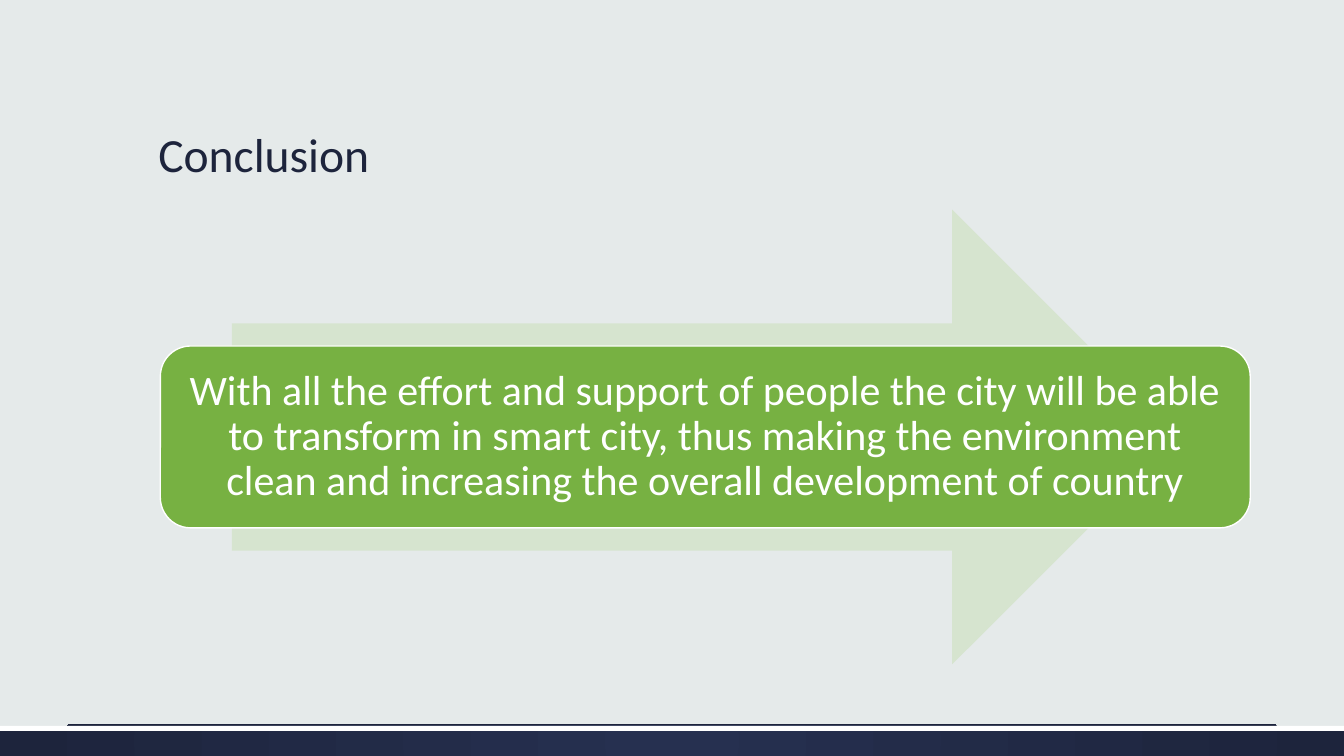
from lxml import etree
from pptx import Presentation, util as u
from pptx.dml.color import RGBColor
from pptx.enum import shapes, text
from pptx.oxml import ns

COLORS = {
    "page": "E5EAEA", "navy": "1D243C", "glow": "263050",
    "pale": "D6E4CF", "green": "77B142", "white": "FFFFFF",
}
KIND = shapes.MSO_SHAPE


def color(name):
    return RGBColor.from_string(COLORS[name])


def place(shape, box):
    shape.left, shape.top, shape.width, shape.height = map(u.Inches, box)


def write(shape, words, size, hue, align, anchor, inset=(0.1, 0.05)):
    frame = shape.text_frame
    frame.word_wrap = True
    frame.auto_size = text.MSO_AUTO_SIZE.NONE
    frame.vertical_anchor = anchor
    frame.margin_left = frame.margin_right = u.Inches(inset[0])
    frame.margin_top = frame.margin_bottom = u.Inches(inset[1])
    para = frame.paragraphs[0]
    para.alignment, para.line_spacing = align, 0.9
    run = para.add_run()
    run.text = words
    run.font.name, run.font.size = "Calibri", u.Pt(size)
    run.font.color.rgb = color(hue)


def draw(slide, kind, box, fill, line=None):
    shape = slide.shapes.add_shape(kind, *map(u.Inches, box))
    shape.shadow.inherit = False
    shape.fill.solid()
    shape.fill.fore_color.rgb = color(fill)
    if line:
        shape.line.color.rgb, shape.line.width = color(line), u.Pt(1)
    else:
        shape.line.fill.background()
    return shape


def glow(shape, inner, outer):
    """Fill the shape with a gradient that spreads from its centre."""
    shape.fill.gradient()
    for stop, name in zip(shape.fill.gradient_stops, (inner, outer)):
        stop.color.rgb = color(name)
    grad = shape.fill._xPr.find(ns.qn("a:gradFill"))
    grad.remove(grad.find(ns.qn("a:lin")))
    path = etree.SubElement(grad, ns.qn("a:path"), path="circle")
    sides = dict.fromkeys("ltrb", "50000")
    etree.SubElement(path, ns.qn("a:fillToRect"), **sides)


def footer(slide, box):
    left, top, width, height = box
    band = draw(slide, KIND.RECTANGLE, box, "navy")
    glow(band, "glow", "navy")
    draw(slide, KIND.RECTANGLE, (left, top, width, 0.05), "white")
    edge, level = 0.67, u.Inches(top - 0.01)
    rule = slide.shapes.add_connector(
        shapes.MSO_CONNECTOR.STRAIGHT, u.Inches(left + edge), level,
        u.Inches(left + width - edge), level)
    rule.line.color.rgb, rule.line.width = color("navy"), u.Pt(0.75)
    etree.SubElement(rule._element.spPr, ns.qn("a:effectLst"))


def header(slide, box, words):
    title = slide.shapes.title
    place(title, box)
    write(title, words, 34, "navy", text.PP_ALIGN.LEFT, text.MSO_ANCHOR.BOTTOM)


def message(slide, box, words):
    """Show the words on a card that lies across a wide arrow."""
    left, top, width, height = box
    draw(slide, KIND.RIGHT_ARROW,
         (left + 0.71, top, width - 1.41, height), "pale")
    deep = height * 0.4
    card = draw(slide, KIND.ROUNDED_RECTANGLE,
                (left, top + (height - deep) / 2, width, deep),
                "green", line="white")
    write(card, words, 30, "white", text.PP_ALIGN.CENTER,
          text.MSO_ANCHOR.MIDDLE, inset=(0.12, 0.12))


def main():
    deck = Presentation()
    deck.slide_width, deck.slide_height = u.Inches(13.33), u.Inches(7.5)
    slide = deck.slides.add_slide(deck.slide_layouts[5])
    back = slide.background.fill
    back.solid()
    back.fore_color.rgb = color("page")
    footer(slide, (0, 7.2, 13.33, 0.3))
    header(slide, (1.47, 0.51, 10.4, 1.35), "Conclusion")
    message(slide, (1.59, 2.08, 10.81, 4.51),
            "With all the effort and support of people the city will be able "
            "to transform in smart city, thus making the environment clean "
            "and increasing the overall development of country")
    deck.save("out.pptx")


if __name__ == "__main__":
    main()
